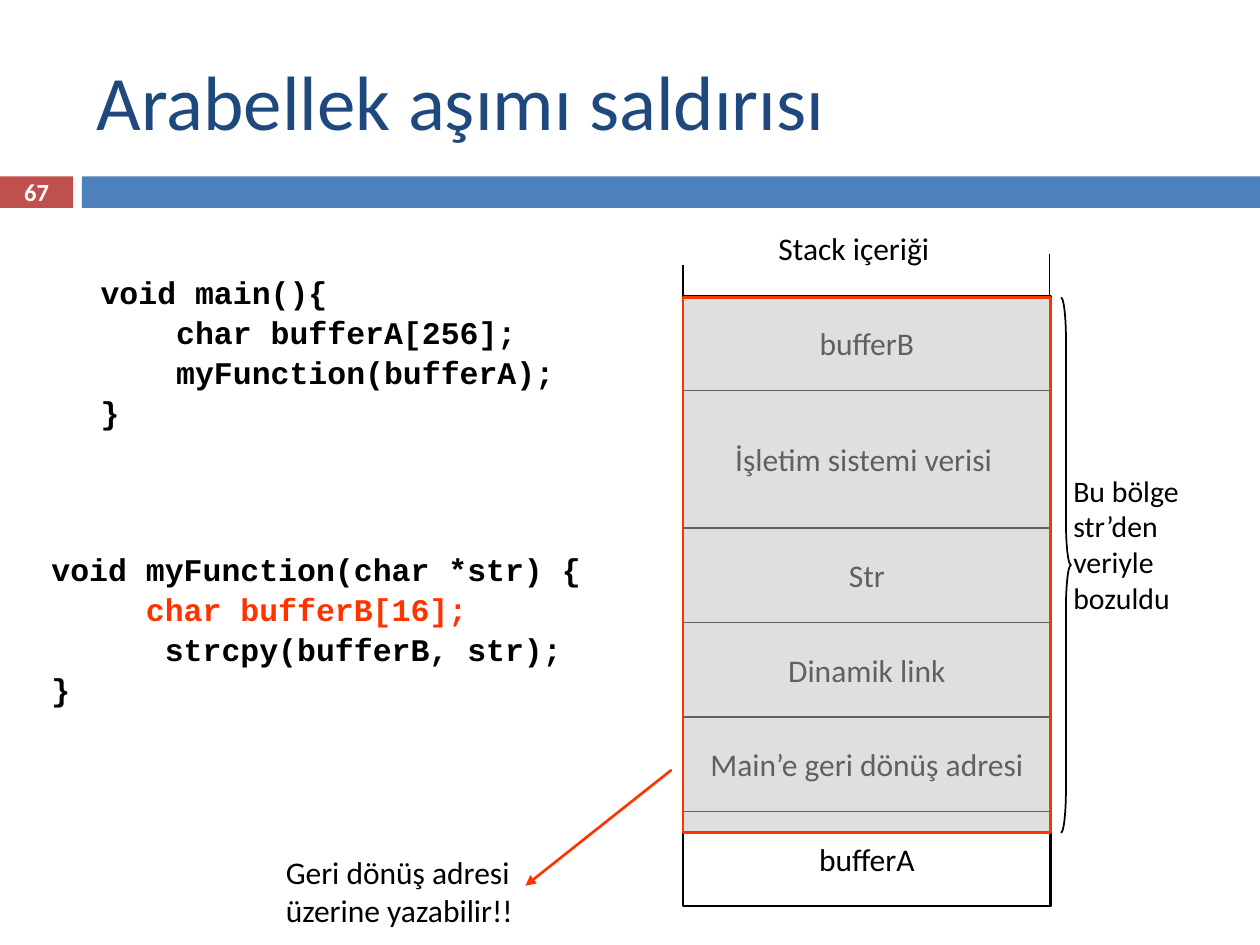
from lxml import etree
from pptx import Presentation
from pptx.dml.color import RGBColor
from pptx.enum.shapes import MSO_CONNECTOR, MSO_SHAPE
from pptx.enum.text import MSO_ANCHOR, PP_ALIGN
from pptx.oxml.ns import qn
from pptx.util import Inches, Pt

BLACK = RGBColor(0x00, 0x00, 0x00)
WHITE = RGBColor(0xFF, 0xFF, 0xFF)
NAVY = RGBColor(0x1F, 0x49, 0x7D)
BLUE = RGBColor(0x4F, 0x81, 0xBD)
BRICK = RGBColor(0xC0, 0x50, 0x4D)
GRAY = RGBColor(0xC0, 0xC0, 0xC0)
RED = RGBColor(0xFF, 0x33, 0x00)

STACK_LEFT, STACK_WIDTH = 5.42, 2.92
STACK_RIGHT, STACK_BOTTOM = 8.33, 7.19
CELL_HEIGHT = 0.75


def write_lines(frame, lines, size=18, color=BLACK, font="Calibri", bold=False,
                align=PP_ALIGN.LEFT, spacing=None):
    """Write one paragraph per line; a line is a list of (text, color) runs or a string."""
    for index, line in enumerate(lines):
        paragraph = frame.paragraphs[0] if index == 0 else frame.add_paragraph()
        paragraph.alignment = align
        if spacing:
            paragraph.line_spacing = spacing
        for text, run_color in [(line, color)] if isinstance(line, str) else line:
            run = paragraph.add_run()
            run.text = text
            run.font.name = font
            run.font.size = Pt(size)
            run.font.bold = bold
            run.font.color.rgb = run_color


def add_text(slide, box, lines, anchor=MSO_ANCHOR.TOP, **style):
    """Add a wrapping text box."""
    frame = slide.shapes.add_textbox(*map(Inches, box)).text_frame
    frame.word_wrap = True
    frame.vertical_anchor = anchor
    write_lines(frame, lines, **style)


def add_code(slide, box, lines):
    """Add a block of bold monospaced code."""
    add_text(slide, box, lines, font="Courier New", bold=True, spacing=1.06)


def add_box(slide, box, fill=None, line=None, width=1, preset=MSO_SHAPE.RECTANGLE):
    """Add a flat preset shape with optional fill and outline."""
    shape = slide.shapes.add_shape(preset, *map(Inches, box))
    shape.shadow.inherit = False
    if fill is None:
        shape.fill.background()
    else:
        shape.fill.solid()
        shape.fill.fore_color.rgb = fill
    if line is None:
        shape.line.fill.background()
    else:
        shape.line.color.rgb = line
        shape.line.width = Pt(width)
    return shape


def add_cell(slide, top, label):
    """Add one labelled cell of the stack."""
    shape = add_box(slide, (STACK_LEFT, top, STACK_WIDTH, CELL_HEIGHT), line=BLACK)
    frame = shape.text_frame
    frame.word_wrap = False
    frame.vertical_anchor = MSO_ANCHOR.MIDDLE
    write_lines(frame, [label], align=PP_ALIGN.CENTER)


def add_line(slide, start, end, color=BLACK, width=1, arrow=False):
    """Add a straight line, with an arrowhead at its end if asked."""
    points = map(Inches, (*start, *end))
    connector = slide.shapes.add_connector(MSO_CONNECTOR.STRAIGHT, *points)
    connector.line.color.rgb = color
    connector.line.width = Pt(width)
    if arrow:
        outline = connector.line._get_or_add_ln()
        etree.SubElement(outline, qn("a:tailEnd"), type="triangle")
    etree.SubElement(connector._element.spPr, qn("a:effectLst"))


def add_header(slide):
    """Add the title, the colour bars and the slide number."""
    add_box(slide, (0, 1.4, 0.58, 0.25), fill=BRICK)
    add_box(slide, (0.65, 1.4, 9.35, 0.25), fill=BLUE)
    add_text(slide, (0.67, 0.25, 8.92, 1.08), ["Arabellek aşımı saldırısı"],
             anchor=MSO_ANCHOR.MIDDLE, size=44, color=NAVY)
    add_text(slide, (0, 1.39, 0.58, 0.27), ["67"], anchor=MSO_ANCHOR.MIDDLE,
             size=14, color=WHITE, bold=True, align=PP_ALIGN.CENTER)


def add_stack(slide):
    """Add the stack diagram with its overwritten region."""
    add_cell(slide, 2.35, "bufferB")
    labels = ["Str", "Dinamik link", "Main’e geri dönüş adresi", "bufferA"]
    for index, label in enumerate(labels):
        add_cell(slide, 4.19 + index * CELL_HEIGHT, label)
    add_line(slide, (STACK_LEFT, STACK_BOTTOM), (STACK_RIGHT, STACK_BOTTOM))
    for x, top in ((STACK_LEFT, 2.1), (STACK_RIGHT, 2.02)):
        add_line(slide, (x, top), (x, STACK_BOTTOM))
    add_text(slide, (6.08, 1.77, 2.17, 0.4), ["Stack içeriği"])
    add_text(slide, (5.59, 3.44, 2.53, 0.4), ["İşletim sistemi verisi"],
             align=PP_ALIGN.CENTER)

    region = add_box(slide, (STACK_LEFT, 2.36, STACK_WIDTH, 4.25), GRAY, RED, 1.5)
    color = region._element.spPr.find(qn("a:solidFill"))[0]
    etree.SubElement(color, qn("a:alpha"), val="50000")

    brace = add_box(slide, (8.42, 2.36, 0.08, 4.25), line=BLACK,
                    preset=MSO_SHAPE.RIGHT_BRACE)
    brace.adjustments[0] = 4.25
    brace.adjustments[1] = 0.5


def add_notes_around_stack(slide):
    """Add the remarks on the overwritten region and the return address."""
    add_text(slide, (8.42, 3.7, 1.58, 1.25),
             ["Bu bölge", "str’den", "veriyle bozuldu"], size=17)
    add_text(slide, (2.17, 6.72, 2.17, 0.71),
             ["Geri dönüş adresi", "üzerine yazabilir!!"])
    add_line(slide, (5.33, 6.11), (4.17, 7.03), RED, 1.5, arrow=True)


def main():
    """Build the slide and save it."""
    presentation = Presentation()
    presentation.slide_width = Inches(10)
    presentation.slide_height = Inches(7.5)
    slide = presentation.slides.add_slide(presentation.slide_layouts[6])
    add_header(slide)
    add_stack(slide)
    add_notes_around_stack(slide)
    add_code(slide, (0.7, 2.1, 4.06, 1.31), [
        "void main(){",
        "    char bufferA[256];",
        "    myFunction(bufferA);",
        "}",
    ])
    add_code(slide, (0.31, 4.3, 4.61, 1.62), [
        "void myFunction(char *str) {",
        [("     ", BLACK), ("char bufferB[16];", RED)],
        "      strcpy(bufferB, str);",
        "}",
    ])
    presentation.save("out.pptx")


if __name__ == "__main__":
    main()
